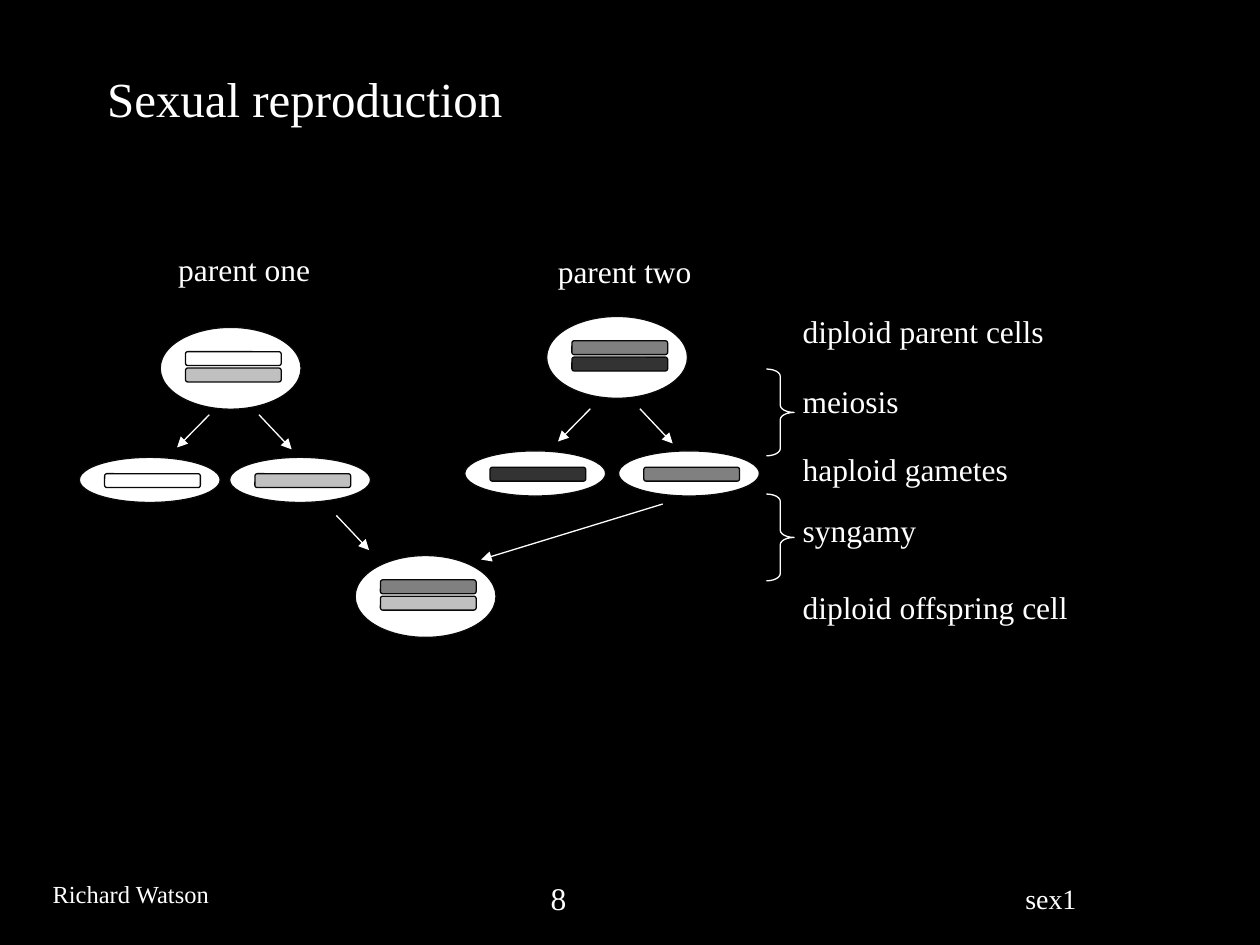
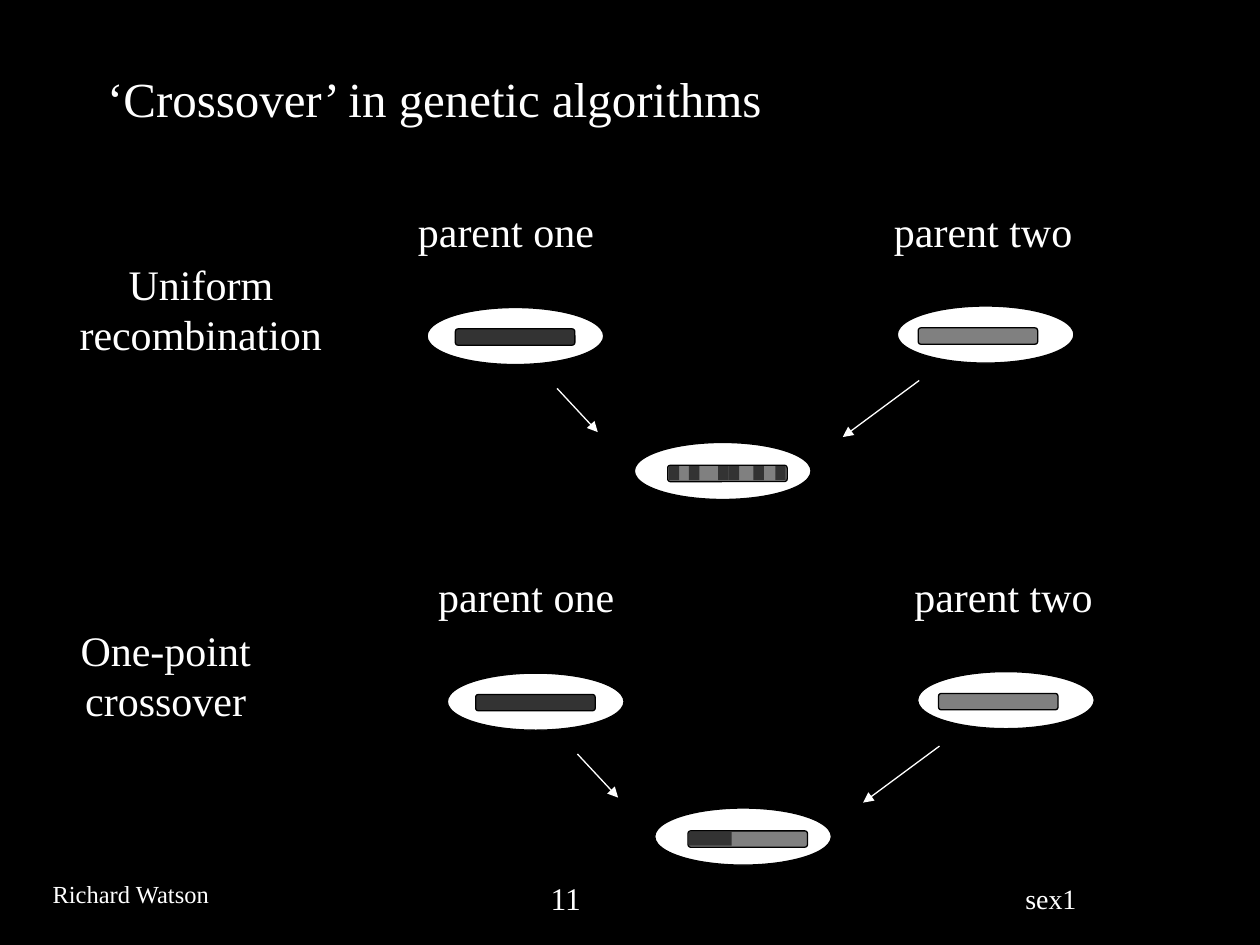
import pptx
import pptx.dml.color
import pptx.enum.shapes
import pptx.enum.text
import pptx.oxml
import pptx.oxml.ns
import pptx.util

Cm = pptx.util.Cm
Pt = pptx.util.Pt
RGBColor = pptx.dml.color.RGBColor
SHAPE = pptx.enum.shapes.MSO_SHAPE
ALIGN = pptx.enum.text.PP_ALIGN
ANCHOR = pptx.enum.text.MSO_ANCHOR

BLACK = RGBColor(0x00, 0x00, 0x00)
INK = RGBColor(0x08, 0x08, 0x08)
WHITE = RGBColor(0xFF, 0xFF, 0xFF)
SILVER = RGBColor(0xC0, 0xC0, 0xC0)
GREY = RGBColor(0x80, 0x80, 0x80)
CHARCOAL = RGBColor(0x33, 0x33, 0x33)

FONT = "Times New Roman"
LINE_WIDTH = Pt(0.75)
DIPLOID = (2.84, 1.65)
HAPLOID = (2.84, 0.91)
PARENT = (3.56, 1.15)
GENE_SIZE = (1.93, 0.28)
GENOME_SIZE = (2.41, 0.33)


def apply(target, formats):
    for name, value in formats.items():
        setattr(target, name, value)


def offset(origin, delta):
    return origin[0] + delta[0], origin[1] + delta[1]


def add_text(slide, at, size, words, points, align=ALIGN.LEFT, margin=0, anchor=ANCHOR.TOP):
    frame = slide.shapes.add_textbox(*map(Cm, (*at, *size))).text_frame
    apply(frame, {
        "word_wrap": True, "vertical_anchor": anchor,
        "margin_left": Cm(0.25), "margin_right": Cm(0.25),
        "margin_top": Cm(margin), "margin_bottom": Cm(margin),
    })
    paragraph = frame.paragraphs[0]
    apply(paragraph, {"text": words, "alignment": align})
    apply(paragraph.runs[0].font, {"name": FONT, "size": Pt(points)})
    paragraph.runs[0].font.color.rgb = WHITE


def add_figure(slide, preset, at, size, fill=None, outline=None):
    figure = slide.shapes.add_shape(preset, *map(Cm, (*at, *size)))
    figure.shadow.inherit = False
    for paint, colour in ((figure.fill, fill), (figure.line.fill, outline)):
        if colour is None:
            paint.background()
        else:
            paint.solid()
            paint.fore_color.rgb = colour
    if outline is not None:
        figure.line.width = LINE_WIDTH
    return figure


def add_arrow(slide, start, delta):
    arrow = slide.shapes.add_connector(
        pptx.enum.shapes.MSO_CONNECTOR.STRAIGHT,
        *map(Cm, (*start, *offset(start, delta))))
    apply(arrow.line, {"width": LINE_WIDTH})
    arrow.line.color.rgb = WHITE
    head = pptx.oxml.parse_xml(
        f'<a:tailEnd {pptx.oxml.ns.nsdecls("a")} type="triangle"/>')
    arrow.line._get_or_add_ln().append(head)
    arrow._element.spPr.append(
        pptx.oxml.parse_xml(f'<a:effectLst {pptx.oxml.ns.nsdecls("a")}/>'))


def add_chromosome(slide, at, size, colour, outline):
    add_figure(slide, SHAPE.ROUNDED_RECTANGLE, at, size, colour, outline)


def add_cell(slide, at, size, colours):
    add_figure(slide, SHAPE.OVAL, at, size, WHITE, INK)
    first_top = 0.33 if size == HAPLOID else 0.49
    for row, colour in enumerate(colours):
        add_chromosome(slide, offset(at, (0.51, first_top + 0.33 * row)),
                       GENE_SIZE, colour, INK)


def add_family(slide, origin, name, name_delta, colours, gametes, gamete_delta,
               gamete_step, fork_delta):
    add_text(slide, offset(origin, name_delta), (5.33, 1.02), name, 18, ALIGN.CENTER)
    add_cell(slide, origin, DIPLOID, colours)
    gamete_at = offset(origin, gamete_delta)
    for column, colour in enumerate(gametes):
        add_cell(slide, offset(gamete_at, (gamete_step * column, 0)), HAPLOID, [colour])
    fork = offset(origin, fork_delta)
    add_arrow(slide, fork, (-0.65, 0.66))
    add_arrow(slide, offset(fork, (1, 0)), (0.66, 0.7))


def add_stages(slide, origin):
    stages = [("diploid parent cells", 0), ("meiosis", 1.4), ("haploid gametes", 2.77),
              ("syngamy", 4.01), ("diploid offspring cell", 5.56)]
    for stage, drop in stages:
        add_text(slide, offset(origin, (0, drop)), (8.43, 1.02), stage, 18)
    for drop in (1.14, 3.66):
        brace = add_figure(slide, SHAPE.RIGHT_BRACE, offset(origin, (-0.48, drop)),
                           (0.56, 1.75), outline=WHITE)
        brace.adjustments[0] = 0.26


def add_crossover(slide, origin, method, method_shift, segments):
    add_text(slide, offset(origin, (method_shift, -0.99)), (6.68, 1.27), method, 24,
             ALIGN.CENTER)
    for name, shift in (("parent one", -1.75), ("parent two", 7.87)):
        add_text(slide, offset(origin, (shift, -2.06)), (6.68, 1.27), name, 24,
                 ALIGN.CENTER)
    genomes = [((0, 0), (0.57, 0.43), CHARCOAL),
               ((9.48, -0.03), (9.9, 0.41), GREY),
               ((4.18, 2.72), (4.85, 3.18), GREY)]
    for cell_delta, genome_delta, colour in genomes:
        add_figure(slide, SHAPE.OVAL, offset(origin, cell_delta), PARENT, WHITE, BLACK)
        add_chromosome(slide, offset(origin, genome_delta), GENOME_SIZE, colour, BLACK)
    for shift, width in segments:
        add_figure(slide, SHAPE.RECTANGLE, offset(origin, (4.85 + shift, 3.2)),
                   (width, 0.28), CHARCOAL)
    add_arrow(slide, offset(origin, (9.92, 1.47)), (-1.54, 1.14))
    add_arrow(slide, offset(origin, (2.62, 1.63)), (0.82, 0.88))


def add_frame(deck, title, number):
    slide = deck.slides.add_slide(deck.slide_layouts[6])
    slide.background.fill.solid()
    slide.background.fill.fore_color.rgb = BLACK
    footers = [((20.42, 17.65), "sex1", 16), ((0.81, 17.6), "Richard Watson", 14),
               ((10.85, 17.6), number, 18)]
    for at, words, points in footers:
        add_text(slide, at, (4, 1), words, points, margin=0.13)
    add_text(slide, (1.91, 1.04), (21.59, 1.85), title, 28, margin=0.13,
             anchor=ANCHOR.MIDDLE)
    return slide


def build_reproduction(deck):
    slide = add_frame(deck, "Sexual reproduction", "8")
    add_family(slide, (3.23, 6.6), "parent one", (-0.97, -1.55), [WHITE, SILVER],
               [WHITE, SILVER], (-1.63, 2.62), 3.03, (0.99, 1.76))
    add_family(slide, (11.02, 6.38), "parent two", (-1.09, -1.3), [GREY, CHARCOAL],
               [CHARCOAL, GREY], (-1.65, 2.71), 3.1, (0.88, 1.86))
    add_cell(slide, (7.16, 11.2), DIPLOID, [GREY, SILVER])
    add_arrow(slide, (13.36, 10.16), (-3.66, 1.12))
    add_arrow(slide, (6.78, 10.39), (0.66, 0.7))
    add_stages(slide, (15.93, 6.3))


def build_crossover(deck):
    slide = add_frame(deck, "‘Crossover’ in genetic algorithms", "11")
    stripes = [(shift, 0.21) for shift in (0.02, 0.43, 1.02, 1.23, 1.73, 2.17)]
    add_crossover(slide, (8.61, 6.2), "Uniform recombination", -7.9, stripes)
    add_crossover(slide, (9.02, 13.57), "One-point crossover", -9.02, [(0.02, 0.86)])


def main():
    deck = pptx.Presentation()
    apply(deck, {"slide_width": Cm(25.4), "slide_height": Cm(19.05)})
    build_reproduction(deck)
    build_crossover(deck)
    deck.save("out.pptx")


if __name__ == "__main__":
    main()
